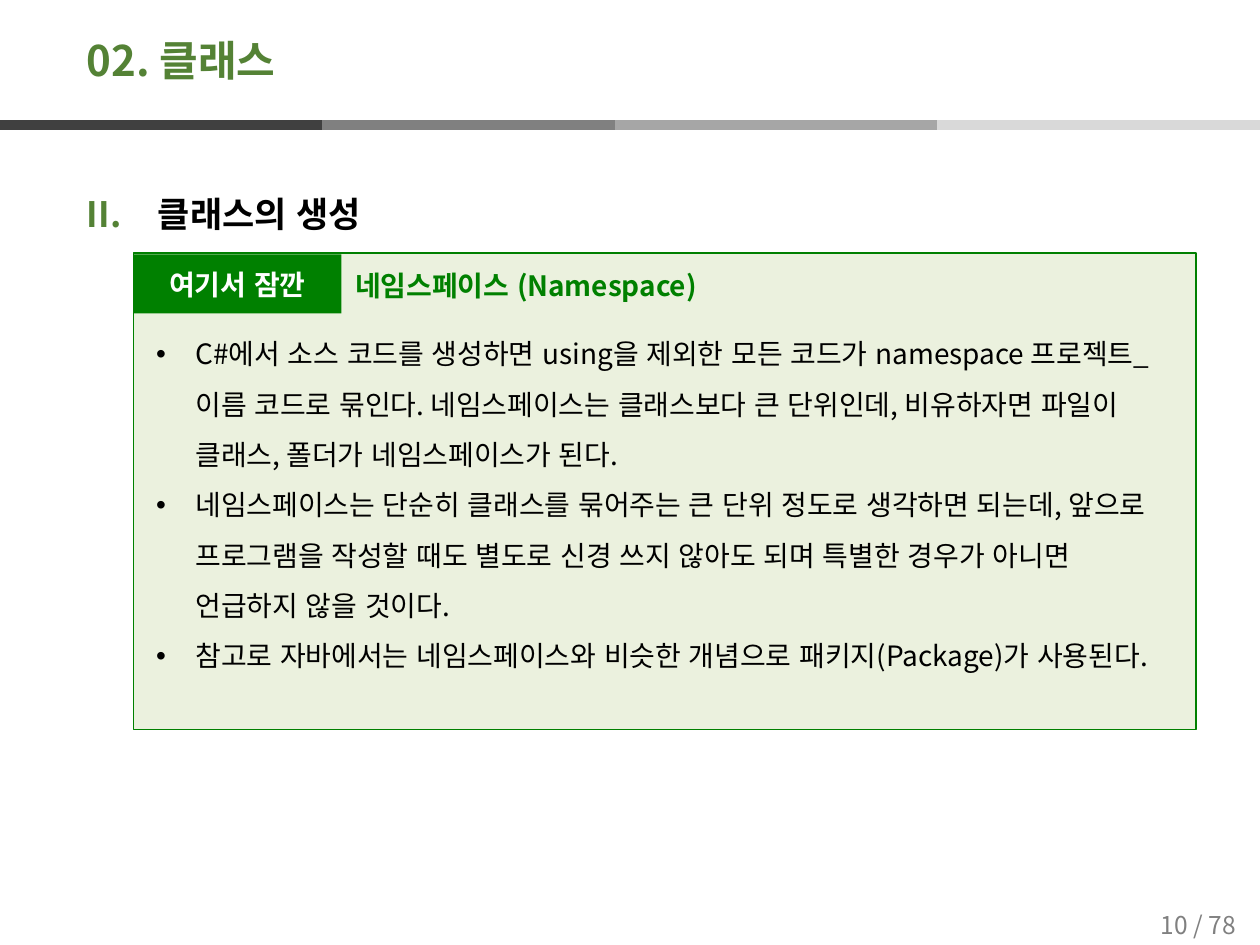
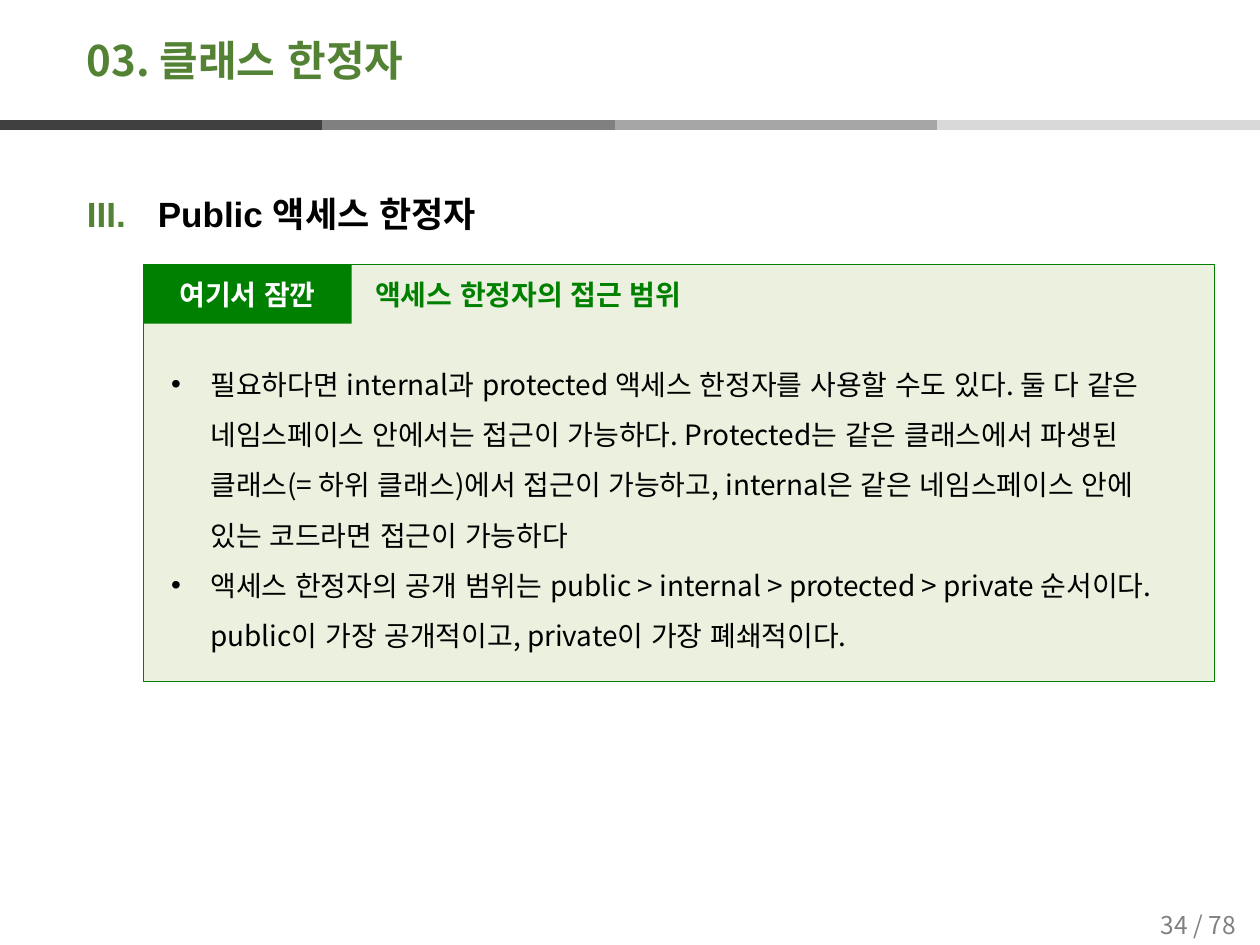
"""Build two lecture slides, each with a numbered topic and a side-note panel."""
from dataclasses import dataclass
from typing import NamedTuple, Optional

from lxml.etree import SubElement
from pptx import Presentation
from pptx.dml.color import RGBColor
from pptx.enum.lang import MSO_LANGUAGE_ID
from pptx.enum.shapes import MSO_CONNECTOR, MSO_SHAPE
from pptx.enum.text import MSO_ANCHOR, MSO_AUTO_SIZE, PP_ALIGN
from pptx.oxml.ns import qn
from pptx.util import Pt


@dataclass(frozen=True)
class Theme:
    title_color: str = "548235"
    text_color: str = "000000"
    note_color: str = "008000"
    note_fill: str = "EBF1DE"
    tag_text: str = "FFFFFF"
    footer_color: str = "808080"
    band_dark: str = "404040"
    band_grays: tuple[str, ...] = ("808080", "A6A6A6", "D9D9D9")
    font: str = "Noto Sans CJK KR"
    topic_font: str = "Arial"
    title_size: float = 24
    topic_size: float = 20
    note_size: float = 16
    footer_size: float = 14


class Box(NamedTuple):
    left: float
    top: float
    width: float
    height: float

    def lengths(self) -> tuple:
        return tuple(Pt(value) for value in self)


class TextStyle(NamedTuple):
    size: float
    color: str
    bold: bool = False
    font: str = "Noto Sans CJK KR"


@dataclass(frozen=True)
class Note:
    heading: str
    bullets: tuple[str, ...]
    panel: Box
    tag: Box
    heading_box: Box
    bullets_box: Box


@dataclass(frozen=True)
class Lesson:
    title: str
    topic_number: int
    topic: str
    page: int
    note: Note


THEME = Theme()
TITLE_STYLE = TextStyle(THEME.title_size, THEME.title_color, True, THEME.font)
TOPIC_STYLE = TextStyle(THEME.topic_size, THEME.text_color, True, THEME.topic_font)
TAG_STYLE = TextStyle(THEME.note_size, THEME.tag_text, True, THEME.font)
HEADING_STYLE = TextStyle(THEME.note_size, THEME.note_color, True, THEME.font)
BULLET_STYLE = TextStyle(THEME.note_size, THEME.text_color, False, THEME.font)
FOOTER_STYLE = TextStyle(THEME.footer_size, THEME.footer_color, False, THEME.font)

SLIDE_WIDTH, SLIDE_HEIGHT = 720, 540
TITLE_BOX = Box(42.5, 14.4, 629.3, 43.2)
TOPIC_BOX = Box(42.5, 94.3, 640.8, 445.7)
FOOTER_BOX = Box(649.4, 514.1, 70.6, 28.1)
BAND_TOP, BAND_LENGTH, BAND_WEIGHT = 71.3, 184.3, 6
TOPIC_INDENT, BULLET_INDENT = 40.5, 22.5
PAGE_COUNT = 78
TAG_LABEL = "여기서 잠깐"

LESSONS = (
    Lesson(
        "02. 클래스", 2, "클래스의 생성", 10,
        Note(
            "네임스페이스 (Namespace)",
            (
                "C#에서 소스 코드를 생성하면 using을 제외한 모든 코드가 namespace "
                "프로젝트_이름 코드로 묶인다. 네임스페이스는 클래스보다 큰 단위인데, "
                "비유하자면 파일이 클래스, 폴더가 네임스페이스가 된다.",
                "네임스페이스는 단순히 클래스를 묶어주는 큰 단위 정도로 생각하면 되는데, "
                "앞으로 프로그램을 작성할 때도 별도로 신경 쓰지 않아도 되며 특별한 경우가 "
                "아니면 언급하지 않을 것이다.",
                "참고로 자바에서는 네임스페이스와 비슷한 개념으로 패키지(Package)가 사용된다.",
            ),
            panel=Box(76.3, 144.7, 607, 272.2),
            tag=Box(76.3, 145.4, 118.8, 33.8),
            heading_box=Box(195.8, 149.8, 216.7, 26.6),
            bullets_box=Box(82.1, 179.3, 595.4, 236.2),
        ),
    ),
    Lesson(
        "03. 클래스 한정자", 3, "Public 액세스 한정자", 34,
        Note(
            "액세스 한정자의 접근 범위",
            (
                "필요하다면 internal과 protected 액세스 한정자를 사용할 수도 있다. 둘 다 "
                "같은 네임스페이스 안에서는 접근이 가능하다. Protected는 같은 클래스에서 "
                "파생된 클래스(= 하위 클래스)에서 접근이 가능하고, internal은 같은 "
                "네임스페이스 안에 있는 코드라면 접근이 가능하다",
                "액세스 한정자의 공개 범위는 public > internal > protected > private "
                "순서이다. public이 가장 공개적이고, private이 가장 폐쇄적이다.",
            ),
            panel=Box(82.1, 151.2, 612, 238.3),
            tag=Box(82.1, 151.2, 118.8, 33.8),
            heading_box=Box(207.4, 154.8, 209.5, 26.6),
            bullets_box=Box(90.7, 196.6, 595.4, 181.4),
        ),
    ),
)


def rgb(color: str) -> RGBColor:
    return RGBColor.from_string(color)


def write(paragraph, text: str, style: TextStyle, align=PP_ALIGN.LEFT,
          spacing: Optional[float] = None) -> None:
    paragraph.alignment = align
    paragraph.space_before = Pt(0)
    if spacing:
        paragraph.line_spacing = spacing
    run = paragraph.add_run()
    run.text = text
    font = run.font
    font.size, font.bold, font.name = Pt(style.size), style.bold, style.font
    font.color.rgb = rgb(style.color)
    font.language_id = MSO_LANGUAGE_ID.KOREAN
    properties = run._r.get_or_add_rPr()
    SubElement(properties, qn("a:ea"), typeface=THEME.font)


def hang(paragraph, indent: float):
    properties = paragraph._p.get_or_add_pPr()
    properties.set("marL", str(Pt(indent)))
    properties.set("indent", str(-Pt(indent)))
    return properties


def add_bullet(paragraph) -> None:
    properties = hang(paragraph, BULLET_INDENT)
    SubElement(properties, qn("a:buFont"), typeface="Arial")
    SubElement(properties, qn("a:buChar"), char="•")


def add_roman_number(paragraph, number: int) -> None:
    properties = hang(paragraph, TOPIC_INDENT)
    color = SubElement(properties, qn("a:buClr"))
    SubElement(color, qn("a:srgbClr"), val=THEME.title_color)
    SubElement(properties, qn("a:buFontTx"))
    SubElement(properties, qn("a:buAutoNum"), type="romanUcPeriod", startAt=str(number))


def place(shape, box: Box, anchor: MSO_ANCHOR):
    shape.left, shape.top, shape.width, shape.height = box.lengths()
    frame = shape.text_frame
    frame.word_wrap = True
    frame.auto_size = MSO_AUTO_SIZE.NONE
    frame.vertical_anchor = anchor
    return frame


def add_text_box(slide, box: Box, anchor: MSO_ANCHOR = MSO_ANCHOR.TOP):
    return place(slide.shapes.add_textbox(*box.lengths()), box, anchor)


def add_rectangle(slide, box: Box, fill: str, line: Optional[str] = None):
    shape = slide.shapes.add_shape(MSO_SHAPE.RECTANGLE, *box.lengths())
    shape.shadow.inherit = False
    shape.fill.solid()
    shape.fill.fore_color.rgb = rgb(fill)
    if line:
        shape.line.color.rgb = rgb(line)
        shape.line.width = Pt(1)
    else:
        shape.line.fill.background()
    return shape


def add_band(slide, left: float, color: str) -> None:
    connector = slide.shapes.add_connector(
        MSO_CONNECTOR.STRAIGHT, Pt(left), Pt(BAND_TOP), Pt(left + BAND_LENGTH), Pt(BAND_TOP))
    connector.line.color.rgb = rgb(color)
    connector.line.width = Pt(BAND_WEIGHT)
    SubElement(connector._element.spPr, qn("a:effectLst"))


def add_frame(slide, page: int) -> None:
    count = len(THEME.band_grays)
    for index, color in enumerate(THEME.band_grays):
        add_band(slide, SLIDE_WIDTH - (count - index) * BAND_LENGTH, color)
    add_band(slide, 0, THEME.band_dark)
    footer = add_text_box(slide, FOOTER_BOX, MSO_ANCHOR.MIDDLE)
    write(footer.paragraphs[0], f"{page} / {PAGE_COUNT}", FOOTER_STYLE, PP_ALIGN.CENTER)


def add_note(slide, note: Note) -> None:
    add_rectangle(slide, note.panel, THEME.note_fill, THEME.note_color)
    heading = add_text_box(slide, note.heading_box)
    heading.word_wrap = False
    heading.auto_size = MSO_AUTO_SIZE.SHAPE_TO_FIT_TEXT
    write(heading.paragraphs[0], note.heading, HEADING_STYLE)
    tag = place(add_rectangle(slide, note.tag, THEME.note_color), note.tag, MSO_ANCHOR.MIDDLE)
    write(tag.paragraphs[0], TAG_LABEL, TAG_STYLE, PP_ALIGN.CENTER)
    frame = add_text_box(slide, note.bullets_box)
    for index, text in enumerate(note.bullets):
        paragraph = frame.add_paragraph() if index else frame.paragraphs[0]
        write(paragraph, text, BULLET_STYLE, spacing=1.5)
        add_bullet(paragraph)


def add_lesson(presentation, lesson: Lesson) -> None:
    slide = presentation.slides.add_slide(presentation.slide_layouts[1])
    add_frame(slide, lesson.page)
    title = place(slide.shapes.title, TITLE_BOX, MSO_ANCHOR.MIDDLE)
    write(title.paragraphs[0], lesson.title, TITLE_STYLE, spacing=0.9)
    topic = place(slide.placeholders[1], TOPIC_BOX, MSO_ANCHOR.TOP).paragraphs[0]
    write(topic, lesson.topic, TOPIC_STYLE, spacing=1.5)
    add_roman_number(topic, lesson.topic_number)
    add_note(slide, lesson.note)


def main() -> None:
    presentation = Presentation()
    presentation.slide_width, presentation.slide_height = Pt(SLIDE_WIDTH), Pt(SLIDE_HEIGHT)
    for lesson in LESSONS:
        add_lesson(presentation, lesson)
    presentation.save("out.pptx")


if __name__ == "__main__":
    main()
